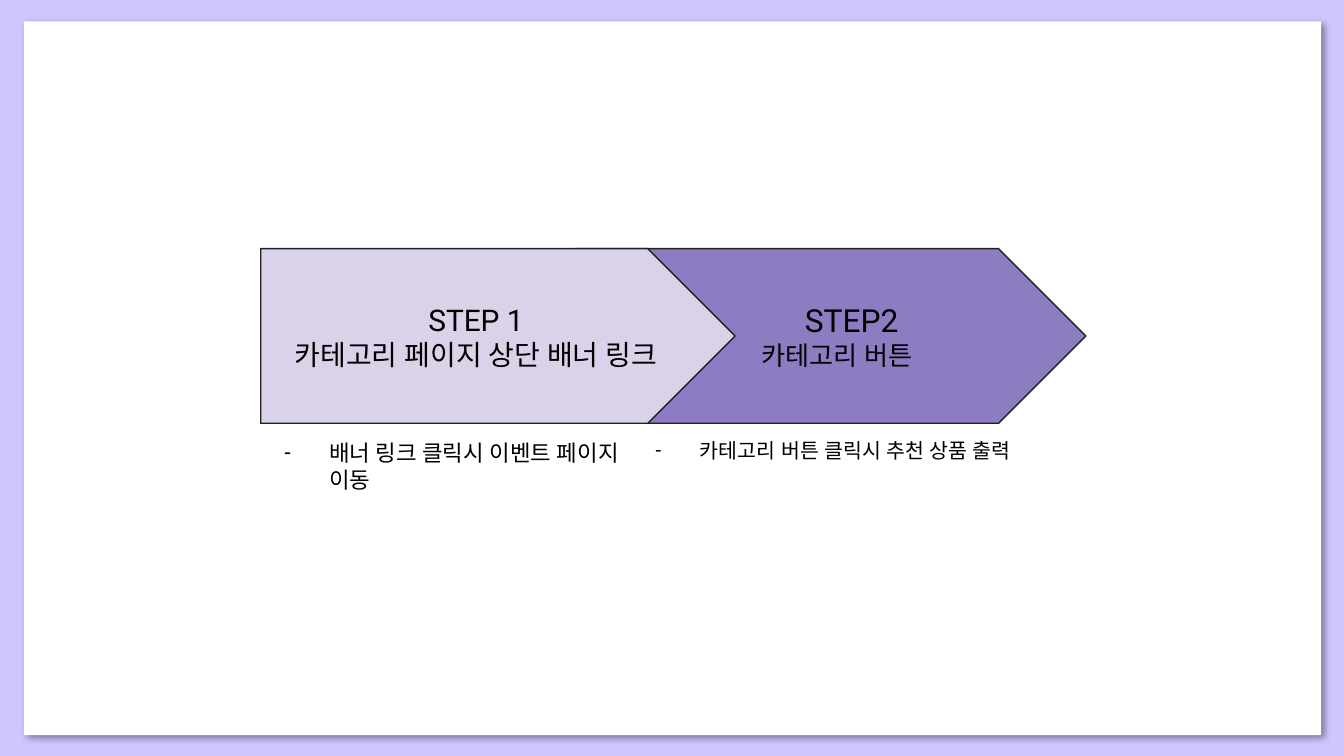
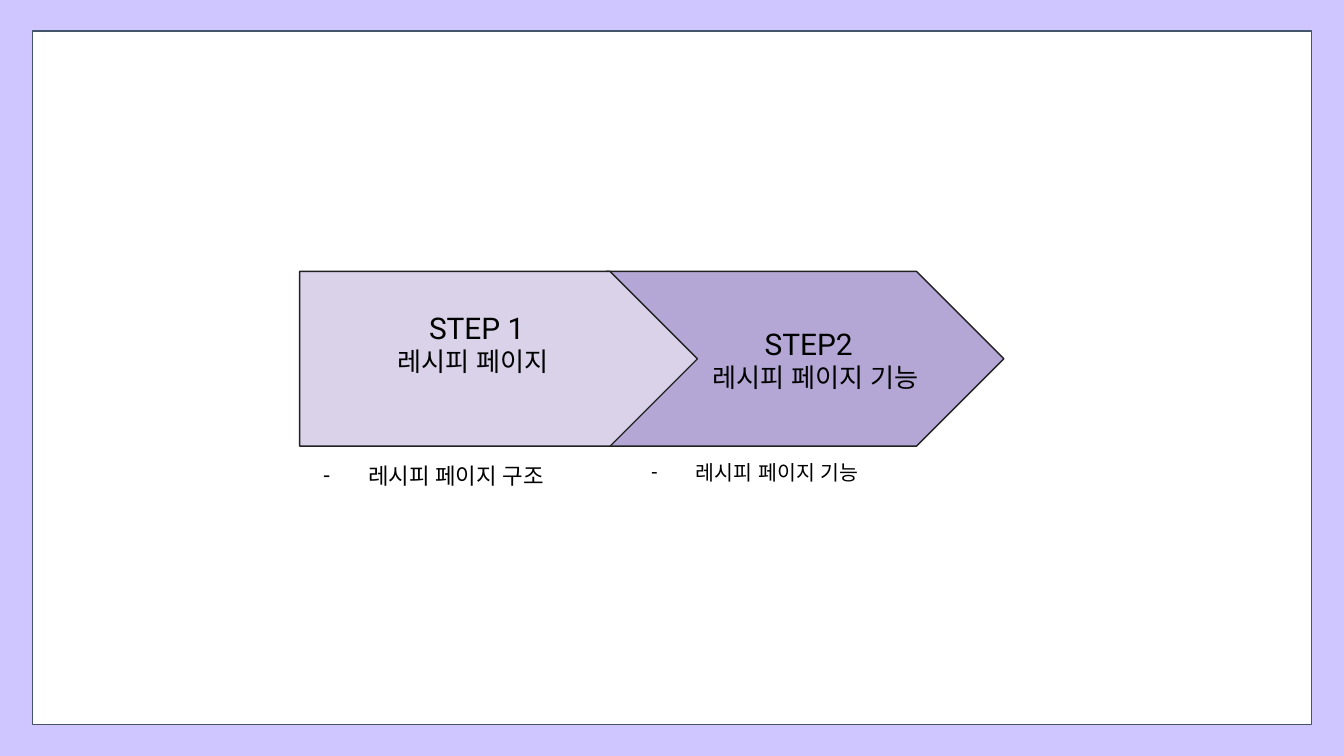
from dataclasses import dataclass

import pptx
import pptx.dml.color
import pptx.enum.lang
import pptx.enum.shapes
import pptx.enum.text
import pptx.oxml
import pptx.oxml.ns
import pptx.util
from pptx.util import Inches


@dataclass(frozen=True)
class Theme:
    font: str = "Roboto"
    background: str = "D0C6FF"
    panel: str = "FFFFFF"
    panel_line: str = "44546A"
    ink: str = "000000"
    outline: str = "212121"
    pale: str = "D9D2E9"
    medium: str = "B4A7D6"
    strong: str = "8E7CC3"
    large_heading: int = 17
    heading: int = 16
    large_label: int = 15
    label: int = 14
    first_note: int = 12
    second_note: int = 11
    line_width: float = 0.75


THEME = Theme()
STEP_HEIGHT = 1.3
INSET = 0.1


@dataclass(frozen=True)
class Area:
    left: float
    top: float
    width: float
    height: float


@dataclass(frozen=True)
class Line:
    text: str
    size: int
    indent: float = 0


@dataclass(frozen=True)
class Step:
    left: float
    width: float
    fill: str
    lines: tuple[Line, ...]
    bottom_inset: float = INSET


@dataclass(frozen=True)
class Note:
    area: Area
    text: str
    size: int


@dataclass(frozen=True)
class Process:
    panel: Area
    framed: bool
    step_top: float
    steps: tuple[Step, ...]
    notes: tuple[Note, ...]


PROCESSES = (
    Process(
        panel=Area(0.18, 0.16, 9.65, 5.31),
        framed=False,
        step_top=1.85,
        steps=(
            Step(1.94, 3.53, THEME.pale, (
                Line("STEP 1", THEME.heading),
                Line("카테고리 페이지 상단 배너 링크", THEME.large_label),
            )),
            Step(4.28, 3.8, THEME.strong, (
                Line("STEP2", THEME.large_heading, 0.64),
                Line("카테고리 버튼", THEME.label, 0.42),
            )),
        ),
        notes=(
            Note(Area(1.85, 3.17, 3.1, 0.81),
                 "배너 링크 클릭시 이벤트 페이지 이동", THEME.first_note),
            Note(Area(4.61, 3.17, 3.53, 0.39),
                 "카테고리 버튼 클릭시 추천 상품 출력", THEME.second_note),
        ),
    ),
    Process(
        panel=Area(0.24, 0.23, 9.52, 5.16),
        framed=True,
        step_top=2.02,
        steps=(
            Step(2.23, 2.96, THEME.pale, (
                Line("STEP 1", THEME.heading),
                Line("레시피 페이지 ", THEME.label),
            ), bottom_inset=0.33),
            Step(4.51, 2.96, THEME.medium, (
                Line("STEP2", THEME.heading, 0.38),
                Line("레시피 페이지 기능", THEME.label, 0.48),
            )),
        ),
        notes=(
            Note(Area(2.14, 3.34, 3.03, 0.4), "레시피 페이지 구조", THEME.first_note),
            Note(Area(4.58, 3.33, 3.45, 0.39), "레시피 페이지 기능", THEME.second_note),
        ),
    ),
)


def color(value: str) -> pptx.dml.color.RGBColor:
    return pptx.dml.color.RGBColor.from_string(value)


def place(area: Area) -> tuple:
    return tuple(Inches(n) for n in (area.left, area.top, area.width, area.height))


def add_child(parent, tag: str, **attributes: str):
    child = pptx.oxml.parse_xml(
        f'<{tag} xmlns:a="{pptx.oxml.ns.nsuri("a")}"/>')
    for name, value in attributes.items():
        child.set(name, value)
    parent.append(child)
    return child


def add_text(para, text: str, *, size: int, indent: float = 0, hanging: float = 0,
             align=pptx.enum.text.PP_ALIGN.LEFT, bullet: str = "") -> None:
    para.alignment = align
    properties = para._p.get_or_add_pPr()
    properties.set("marL", str(Inches(indent)))
    properties.set("indent", str(-Inches(hanging)))
    if bullet:
        add_child(add_child(properties, "a:buClr"), "a:srgbClr", val=THEME.ink)
        add_child(properties, "a:buFont", typeface=THEME.font)
        add_child(properties, "a:buChar", char=bullet)
    span = para.add_run()
    span.text = text
    span.font.name = THEME.font
    span.font.size = pptx.util.Pt(size)
    span.font.color.rgb = color(THEME.ink)
    span.font.language_id = pptx.enum.lang.MSO_LANGUAGE_ID.KOREAN
    add_child(span._r.get_or_add_rPr(), "a:ea", typeface=THEME.font)


def prepare_frame(frame, bottom_inset: float = INSET) -> None:
    frame.word_wrap = True
    frame.margin_left = frame.margin_right = frame.margin_top = Inches(INSET)
    frame.margin_bottom = Inches(bottom_inset)


def add_box(page, kind, area: Area, fill: str, outline: str = ""):
    box = page.shapes.add_shape(kind, *place(area))
    box.shadow.inherit = False
    box.fill.solid()
    box.fill.fore_color.rgb = color(fill)
    if outline:
        box.line.color.rgb = color(outline)
        box.line.width = pptx.util.Pt(THEME.line_width)
    else:
        box.line.fill.background()
    return box


def add_panel(page, area: Area, framed: bool) -> None:
    panel = add_box(page, pptx.enum.shapes.MSO_SHAPE.RECTANGLE, area, THEME.panel,
                    THEME.panel_line if framed else "")
    if not framed:
        effects = panel._element.spPr.find(pptx.oxml.ns.qn("a:effectLst"))
        shadow = add_child(effects, "a:outerShdw", blurRad=str(pptx.util.Pt(4)),
                           dist=str(pptx.util.Pt(3)), dir=str(45 * 60000),
                           algn="bl", rotWithShape="0")
        tint = add_child(shadow, "a:srgbClr", val=THEME.ink)
        add_child(tint, "a:alpha", val="40000")


def add_step(page, step: Step, top: float) -> None:
    arrow = add_box(page, pptx.enum.shapes.MSO_SHAPE.PENTAGON,
                    Area(step.left, top, step.width, STEP_HEIGHT),
                    step.fill, THEME.outline)
    arrow.adjustments[0] = 0.5
    frame = arrow.text_frame
    prepare_frame(frame, step.bottom_inset)
    frame.vertical_anchor = pptx.enum.text.MSO_ANCHOR.MIDDLE
    for index, line in enumerate(step.lines):
        para = frame.add_paragraph() if index else frame.paragraphs[0]
        add_text(para, line.text, size=line.size, indent=line.indent,
                 align=pptx.enum.text.PP_ALIGN.CENTER)


def add_note(page, note: Note) -> None:
    frame = page.shapes.add_textbox(*place(note.area)).text_frame
    prepare_frame(frame)
    frame.auto_size = pptx.enum.text.MSO_AUTO_SIZE.SHAPE_TO_FIT_TEXT
    add_text(frame.paragraphs[0], note.text, size=note.size,
             indent=0.5, hanging=0.33, bullet="-")


def add_process(deck, process: Process) -> None:
    page = deck.slides.add_slide(deck.slide_layouts.get_by_name("Blank"))
    page.background.fill.solid()
    page.background.fill.fore_color.rgb = color(THEME.background)
    add_panel(page, process.panel, process.framed)
    first_note, second_note = process.notes
    add_note(page, first_note)
    for step in reversed(process.steps):
        add_step(page, step, process.step_top)
    add_note(page, second_note)


def main() -> None:
    deck = pptx.Presentation()
    deck.slide_width = Inches(10)
    deck.slide_height = Inches(10 * 9 / 16)
    for process in PROCESSES:
        add_process(deck, process)
    deck.save("out.pptx")


if __name__ == "__main__":
    main()
